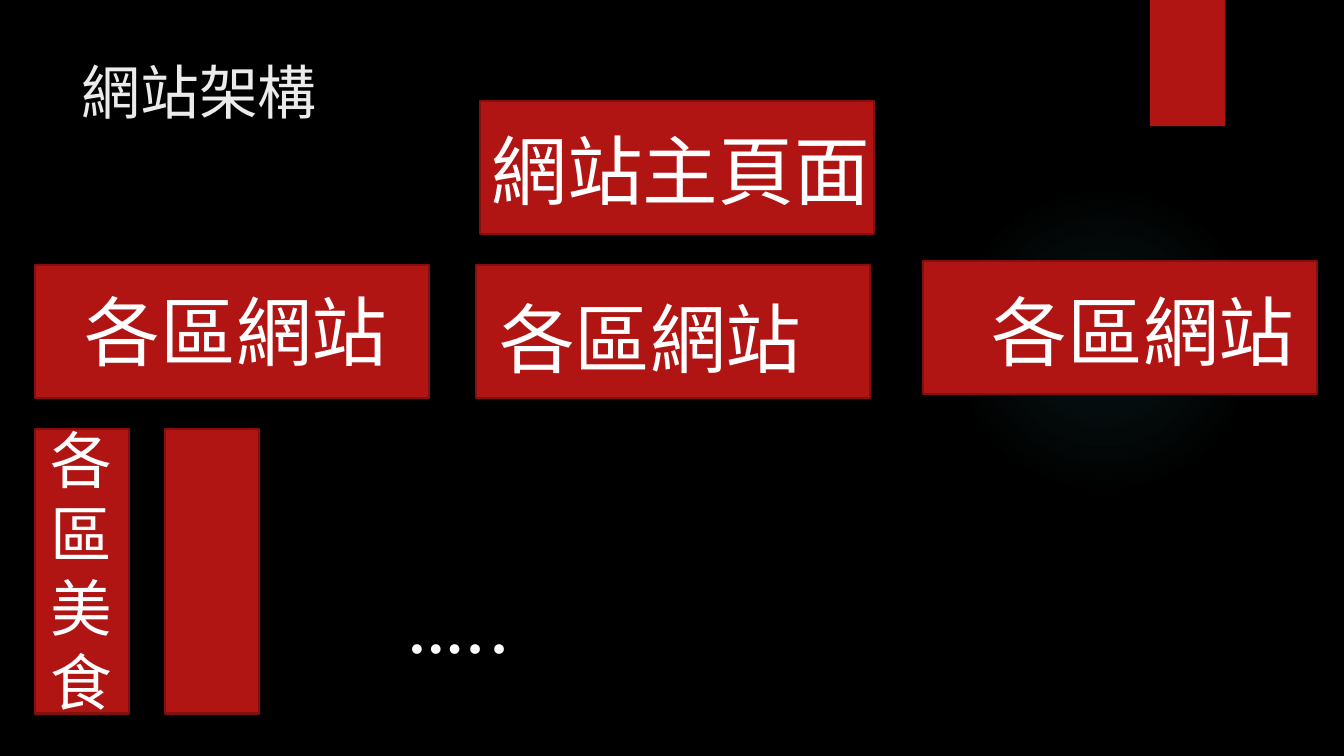
from pptx import Presentation
from pptx.dml.color import RGBColor
from pptx.enum.shapes import MSO_SHAPE as Kind
from pptx.enum.text import MSO_ANCHOR as Anchor, MSO_AUTO_SIZE as Fit, PP_ALIGN as Align
from pptx.oxml import parse_xml
from pptx.oxml.ns import nsdecls
from pptx.util import Cm, Pt

BLACK = RGBColor(0x00, 0x00, 0x00)
RED = RGBColor(0xB0, 0x15, 0x13)
DARK = RGBColor(0x82, 0x10, 0x0E)
PALE = RGBColor(0xEB, 0xEB, 0xEB)
WHITE = RGBColor(0xFF, 0xFF, 0xFF)
TEAL = RGBColor(0x50, 0xB9, 0xC1)


class Page:
    """Holds the style and the current slide."""
    font = "League Spartan"

    def __init__(self, deck):
        self.slide = deck.slides.add_slide(deck.slide_layouts[5])
        back = self.slide.background.fill
        back.solid()
        back.fore_color.rgb = BLACK

    def style(self, para, size, color):
        para.font.name = self.font
        para.font.size = Pt(size)
        para.font.color.rgb = color

    def title(self, text, x, y, w, h):
        shape = self.slide.shapes.title
        shape.left, shape.top, shape.width, shape.height = map(Cm, (x, y, w, h))
        frame = shape.text_frame
        frame.text = text
        frame.vertical_anchor = Anchor.TOP
        frame.paragraphs[0].alignment = Align.LEFT
        self.style(frame.paragraphs[0], 42, PALE)

    def shape(self, kind, x, y, w, h):
        shape = self.slide.shapes.add_shape(kind, *map(Cm, (x, y, w, h)))
        shape.shadow.inherit = False
        shape.line.fill.background()
        return shape

    def glow(self, x, y, size, stops):
        shape = self.shape(Kind.OVAL, x, y, size, size)
        shape.fill.background()
        marks = "".join(
            f'<a:gs pos="{pos * 1000}"><a:srgbClr val="{TEAL}">'
            f'<a:alpha val="{alpha * 1000}"/></a:srgbClr></a:gs>'
            for pos, alpha in stops)
        grad = parse_xml(
            f'<a:gradFill {nsdecls("a")} rotWithShape="1"><a:gsLst>{marks}</a:gsLst>'
            '<a:path path="circle"><a:fillToRect l="50000" t="50000" '
            'r="50000" b="50000"/></a:path></a:gradFill>')
        props = shape.element.spPr
        props.replace(props.find("{*}noFill"), grad)

    def block(self, x, y, w, h, edge=True):
        shape = self.shape(Kind.RECTANGLE, x, y, w, h)
        shape.fill.solid()
        shape.fill.fore_color.rgb = RED
        if edge:
            shape.line.color.rgb = DARK
            shape.line.width = Pt(1.5)

    def label(self, text, x, y, w, h=2.57, size=54, wrap=False):
        box = self.slide.shapes.add_textbox(*map(Cm, (x, y, w, h)))
        frame = box.text_frame
        frame.word_wrap = wrap
        frame.auto_size = Fit.SHAPE_TO_FIT_TEXT
        frame.text = text
        frame.paragraphs[0].alignment = Align.CENTER
        self.style(frame.paragraphs[0], size, WHITE)


def main():
    deck = Presentation()
    deck.slide_width, deck.slide_height = Cm(33.87), Cm(19.05)
    page = Page(deck)

    # Backdrop and title
    page.glow(23.9, 4.65, 7.82, [(0, 7), (36, 6), (69, 0)])
    page.block(28.98, 0, 1.9, 3.18, edge=False)
    page.title("網站架構", 1.8, 1.27, 26.14, 3.89)

    # Main page
    wide, high = 9.93, 3.35
    page.block(12.09, 2.54, wide, high)
    page.label("網站主頁面", 12.09, 3, 10.13)

    # District sites: block corner, then label corner
    for x, y, left, top in [(11.99, 6.68, 12.29, 7.24),
                            (0.89, 6.68, 1.85, 7.06),
                            (23.27, 6.58, 24.71, 7.06)]:
        page.block(x, y, wide, high)
        page.label("各區網站", left, top, 8.2)

    # Topics under the first district
    for x in (0.89, 4.17):
        page.block(x, 10.82, 2.36, 7.16)
    page.label("各區美食", 0.46, 10.52, 3.2, 7.77, size=44, wrap=True)
    page.label("…..", 9.83, 14.43, 3.51)

    deck.save("out.pptx")


if __name__ == "__main__":
    main()
